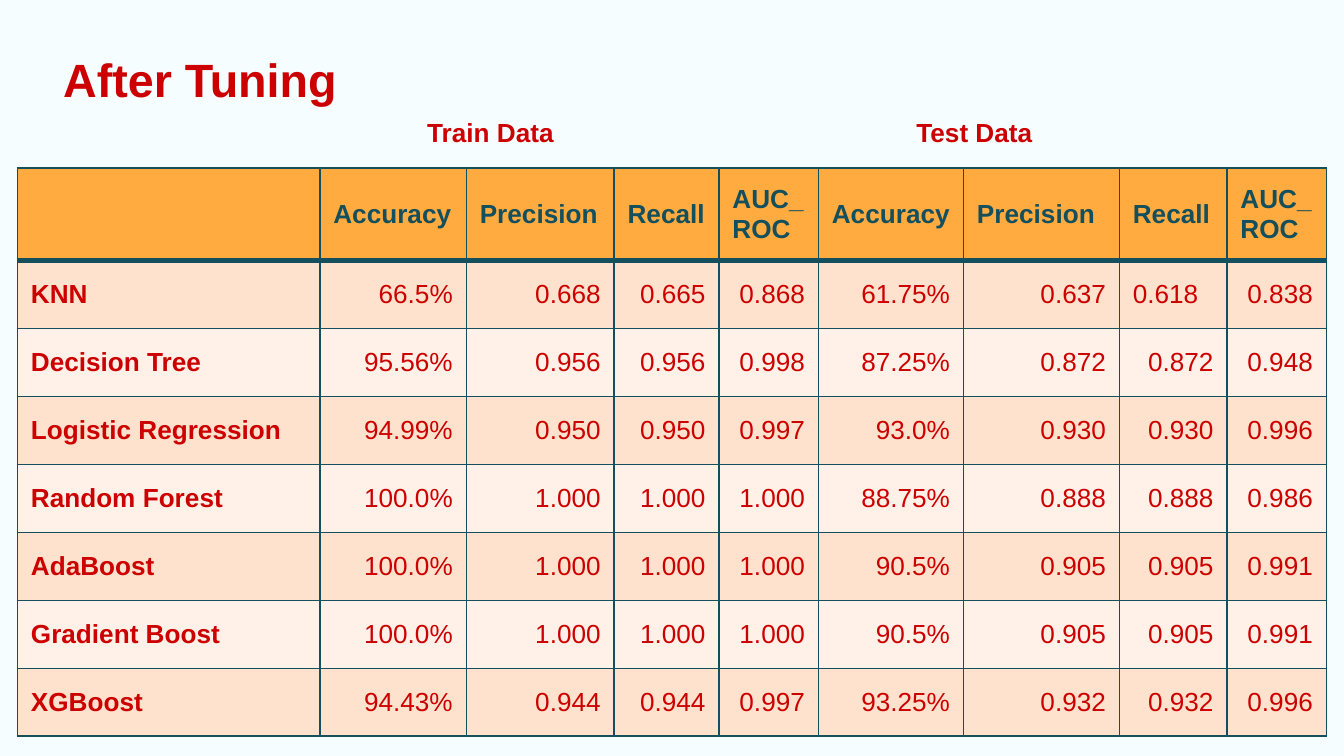
import typing

import pptx
import pptx.dml.color
import pptx.enum.text
import pptx.oxml
import pptx.oxml.ns
import pptx.util
from pptx.util import Inches

BACKGROUND = "F5FDFF"
RED = "CC0000"
TEAL = "134F5C"
ORANGE = "FFAB40"
BAND_COLORS = ("FFE2CD", "FFF1E8")

COLUMN_WIDTHS = (2.25, 1.09, 1.1, 0.78, 0.74, 1.08, 1.16, 0.8, 0.74)
HEADER_HEIGHT = 0.69
BODY_HEIGHT = 3.54
HEADERS = ("", "Accuracy", "Precision", "Recall", "AUC_ ROC",
           "Accuracy", "Precision", "Recall", "AUC_ROC")

LEFT = pptx.enum.text.PP_ALIGN.LEFT
RIGHT = pptx.enum.text.PP_ALIGN.RIGHT


class Scores(typing.NamedTuple):
    accuracy: str
    precision: str
    recall: str
    auc_roc: str


class Model(typing.NamedTuple):
    name: str
    train: Scores
    test: Scores


class Label(typing.NamedTuple):
    text: str
    left: float


MODELS = (
    Model("KNN", Scores("66.5%", "0.668", "0.665", "0.868"),
          Scores("61.75%", "0.637", "0.618", "0.838")),
    Model("Decision Tree", Scores("95.56%", "0.956", "0.956", "0.998"),
          Scores("87.25%", "0.872", "0.872", "0.948")),
    Model("Logistic Regression", Scores("94.99%", "0.950", "0.950", "0.997"),
          Scores("93.0%", "0.930", "0.930", "0.996")),
    Model("Random Forest", Scores("100.0%", "1.000", "1.000", "1.000"),
          Scores("88.75%", "0.888", "0.888", "0.986")),
    Model("AdaBoost", Scores("100.0%", "1.000", "1.000", "1.000"),
          Scores("90.5%", "0.905", "0.905", "0.991")),
    Model("Gradient Boost", Scores("100.0%", "1.000", "1.000", "1.000"),
          Scores("90.5%", "0.905", "0.905", "0.991")),
    Model("XGBoost", Scores("94.43%", "0.944", "0.944", "0.997"),
          Scores("93.25%", "0.932", "0.932", "0.996")),
)
LABELS = (Label("Train Data", 3.08), Label("Test Data", 6.72))


def color(value: str) -> pptx.dml.color.RGBColor:
    return pptx.dml.color.RGBColor.from_string(value)


def write(text_frame, text: str, size: float, text_color: str,
          bold: bool = True, alignment=LEFT) -> None:
    paragraph = text_frame.paragraphs[0]
    paragraph.alignment = alignment
    run = paragraph.add_run()
    run.text = text
    formats = {"name": "Arial", "size": pptx.util.Pt(size), "bold": bold}
    for attribute, value in formats.items():
        setattr(run.font, attribute, value)
    run.font.color.rgb = color(text_color)


def format_frame(text_frame) -> None:
    formats = {
        "word_wrap": True,
        "auto_size": pptx.enum.text.MSO_AUTO_SIZE.SHAPE_TO_FIT_TEXT,
        "vertical_anchor": pptx.enum.text.MSO_ANCHOR.TOP,
        "margin_left": Inches(0.1), "margin_right": Inches(0.1),
        "margin_top": Inches(0.05), "margin_bottom": Inches(0.05),
    }
    for attribute, value in formats.items():
        setattr(text_frame, attribute, value)


def add_borders(cell, top: float = 1, bottom: float = 1) -> None:
    """Draw the cell's four borders, with widths in points."""
    properties = cell._tc.get_or_add_tcPr()
    widths = {"lnL": 1, "lnR": 1, "lnT": top, "lnB": bottom}
    for tag, width in widths.items():
        properties.append(pptx.oxml.parse_xml(
            f'<a:{tag} {pptx.oxml.ns.nsdecls("a")} w="{pptx.util.Pt(width)}">'
            f'<a:solidFill><a:srgbClr val="{TEAL}"/></a:solidFill></a:{tag}>'))


def format_cell(cell, fill: str) -> None:
    cell.fill.solid()
    cell.fill.fore_color.rgb = color(fill)
    cell.vertical_anchor = pptx.enum.text.MSO_ANCHOR.MIDDLE
    cell.margin_left = cell.margin_right = Inches(0.1)
    cell.margin_top = cell.margin_bottom = Inches(0.05)


def add_title(slide, text: str) -> None:
    title = slide.shapes.title
    title.left, title.top = Inches(0.37), Inches(0.33)
    title.width, title.height = Inches(4.72), Inches(0.52)
    format_frame(title.text_frame)
    write(title.text_frame, text, 25, RED)


def add_label(slide, label: Label) -> None:
    shape = slide.shapes.add_textbox(
        Inches(label.left), Inches(0.82), Inches(1.73), Inches(0.34))
    format_frame(shape.text_frame)
    write(shape.text_frame, label.text, 14, RED)


def add_score_table(slide) -> None:
    table = slide.shapes.add_table(
        len(MODELS) + 1, len(HEADERS), Inches(0.13), Inches(1.25),
        Inches(sum(COLUMN_WIDTHS)), Inches(HEADER_HEIGHT + BODY_HEIGHT)).table
    for column, width in zip(table.columns, COLUMN_WIDTHS):
        column.width = Inches(width)
    for index, row in enumerate(table.rows):
        row.height = Inches(BODY_HEIGHT / len(MODELS) if index
                            else HEADER_HEIGHT)

    for column_index, header in enumerate(HEADERS):
        cell = table.cell(0, column_index)
        add_borders(cell, bottom=3)
        format_cell(cell, ORANGE)
        if header:
            write(cell.text_frame, header, 14, TEAL)

    for row_index, model in enumerate(MODELS, start=1):
        fill = BAND_COLORS[(row_index - 1) % len(BAND_COLORS)]
        values = (model.name, *model.train, *model.test)
        for column_index, value in enumerate(values):
            cell = table.cell(row_index, column_index)
            add_borders(cell, top=3 if row_index == 1 else 1)
            format_cell(cell, fill)
            is_name = column_index == 0
            # The test recall of the first model is left-aligned.
            is_left = is_name or (row_index, column_index) == (1, 7)
            write(cell.text_frame, value, 14, RED, bold=is_name,
                  alignment=LEFT if is_left else RIGHT)


def main() -> None:
    presentation = pptx.Presentation()
    presentation.slide_width = Inches(10)
    presentation.slide_height = presentation.slide_width * 9 // 16
    slide = presentation.slides.add_slide(presentation.slide_layouts[5])
    slide.background.fill.solid()
    slide.background.fill.fore_color.rgb = color(BACKGROUND)

    add_score_table(slide)
    for label in LABELS:
        add_label(slide, label)
    add_title(slide, "After Tuning")
    presentation.save("out.pptx")


if __name__ == "__main__":
    main()
